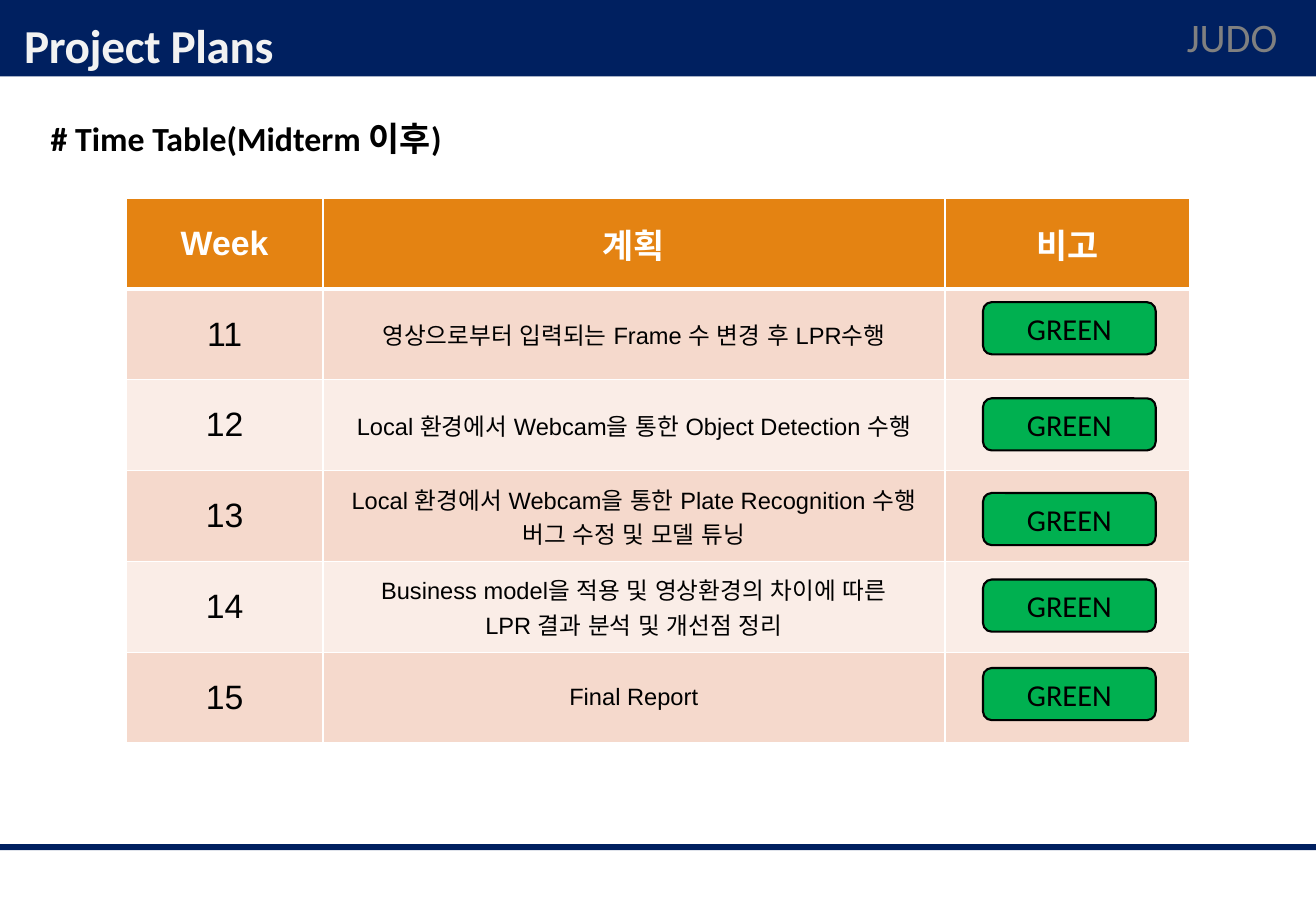
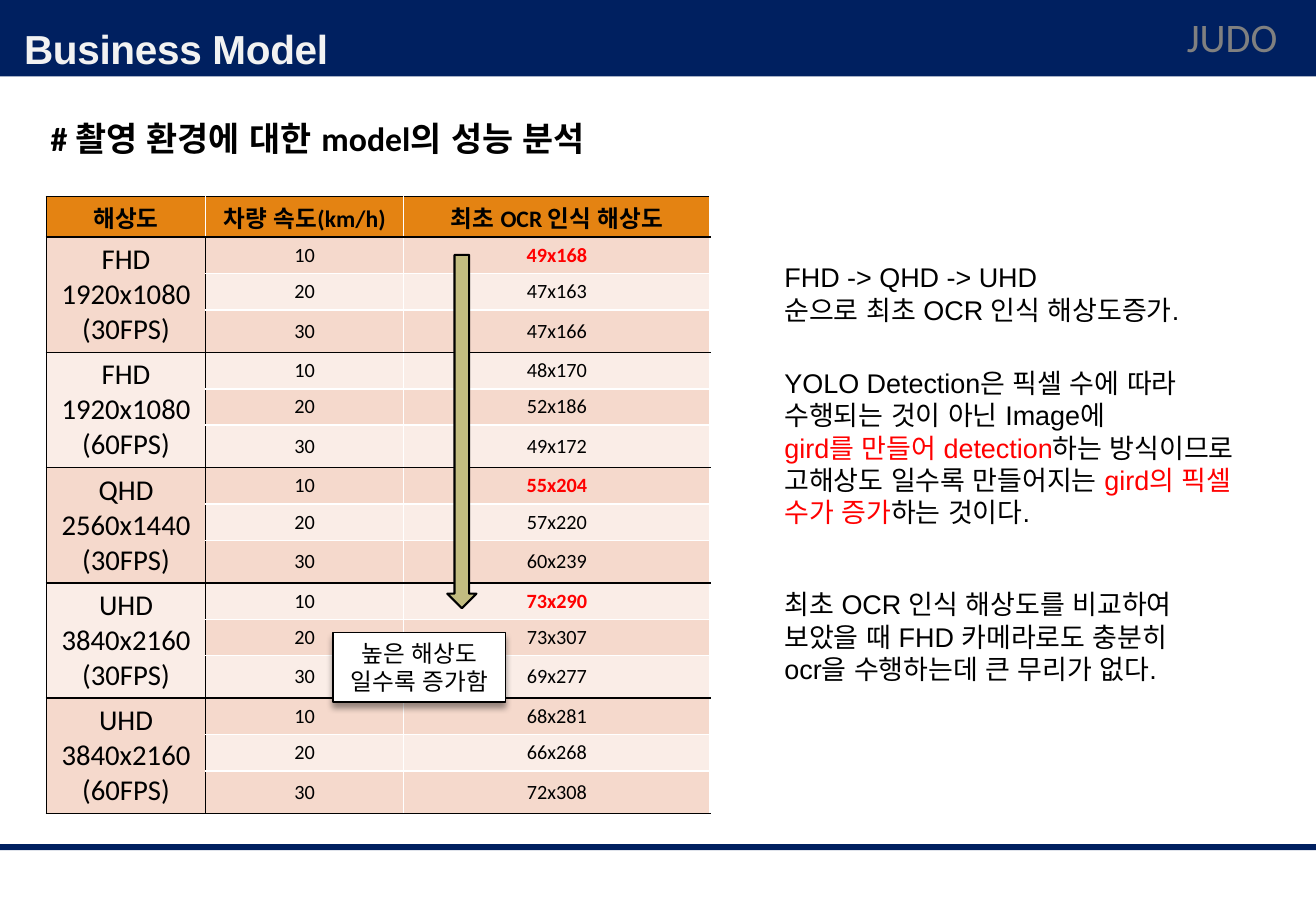
from lxml import etree
from pptx import Presentation
from pptx.dml.color import RGBColor
from pptx.enum.lang import MSO_LANGUAGE_ID as Language
from pptx.enum.shapes import MSO_SHAPE as Preset
from pptx.enum.text import MSO_ANCHOR as Anchor, PP_ALIGN as Align
from pptx.oxml.ns import qn
from pptx.util import Cm, Pt

NAVY = RGBColor(0x00, 0x20, 0x60)
ORANGE = RGBColor(0xE4, 0x83, 0x12)
PEACH = RGBColor(0xF5, 0xD9, 0xCC)
PALE = RGBColor(0xFA, 0xED, 0xE7)
GREEN = RGBColor(0x00, 0xB0, 0x50)
KHAKI = RGBColor(0xC2, 0xBC, 0x80)
RED = RGBColor(0xFF, 0x00, 0x00)
GREY = RGBColor(0x80, 0x80, 0x80)
OFF_WHITE = RGBColor(0xF2, 0xF2, 0xF2)
WHITE = RGBColor(0xFF, 0xFF, 0xFF)
BLACK = RGBColor(0x00, 0x00, 0x00)

SLIDE_WIDTH, SLIDE_HEIGHT = 27.51, 19.05
BANDS = [(0, 1.6), (17.65, 0.13)]  # top, height
TEAM = "JUDO"

# Content: time table
PLAN_HEADER = ["Week", "계획", "비고"]
PLAN = [  # week, plan, status, top of the status pill
    ("11", ["영상으로부터 입력되는 Frame 수 변경 후 LPR수행"], "GREEN", 6.32),
    ("12", ["Local 환경에서 Webcam을 통한 Object Detection 수행"], "GREEN", 8.33),
    ("13", ["Local 환경에서 Webcam을 통한 Plate Recognition 수행",
            "버그 수정 및 모델 튜닝"], "GREEN", 10.31),
    ("14", ["Business model을 적용 및 영상환경의 차이에 따른",
            "LPR 결과 분석 및 개선점 정리"], "GREEN", 12.12),
    ("15", ["Final Report"], "GREEN", 13.97),
]
PLAN_COLUMNS = [4.11, 13.0, 5.13]
PLAN_ROW = 1.9

# Content: recognition results
RESULT_HEADER = ["해상도", "차량 속도(km/h)", "최초 OCR 인식 해상도"]
SPEEDS = ["10", "20", "30"]
RESULTS = [
    (["FHD", "1920x1080", "(30FPS)"], ["49x168", "47x163", "47x166"]),
    (["FHD", "1920x1080", "(60FPS)"], ["48x170", "52x186", "49x172"]),
    (["QHD", "2560x1440", "(30FPS)"], ["55x204", "57x220", "60x239"]),
    (["UHD", "3840x2160", "(30FPS)"], ["73x290", "73x307", "69x277"]),
    (["UHD", "3840x2160", "(60FPS)"], ["68x281", "66x268", "72x308"]),
]
HIGHLIGHTS = {"49x168", "55x204", "73x290"}
RESULT_COLUMNS = [3.33, 4.14, 6.4]
RESULT_ROWS = [0.85] + [0.76, 0.76, 0.89] * len(RESULTS)
CALLOUT = ["높은 해상도", "일수록 증가함"]
NOTES = [  # top, width, height, lines
    (5.33, 10.39, 1.63, ["FHD -> QHD -> UHD", "순으로 최초 OCR 인식 해상도증가."]),
    (7.54, 10.01, 3.68, [
        "YOLO Detection은 픽셀 수에 따라",
        "수행되는 것이 아닌 Image에",
        [("gird를 만들어 detection", RED),
         ("하는 방식이므로 고해상도 일수록 만들어지는 ", BLACK),
         ("gird의 픽셀 수가 증가", RED), ("하는 것이다.", BLACK)]]),
    (12.17, 10.39, 2.31, ["최초 OCR 인식 해상도를 비교하여",
                          "보았을 때 FHD 카메라로도 충분히",
                          "ocr을 수행하는데 큰 무리가 없다."]),
]


def style(size, name="Calibri", color=BLACK, bold=False):
    return {"size": Pt(size), "name": name, "color": color, "bold": bold}


def write(frame, lines, font, align=Align.LEFT):
    """Fill a text frame; a line is a string or a list of (text, colour)."""
    for index, line in enumerate(lines):
        paragraph = frame.paragraphs[0] if index == 0 else frame.add_paragraph()
        paragraph.alignment = align
        for text, color in [(line, font["color"])] if isinstance(line, str) else line:
            run = paragraph.add_run()
            run.text = text
            values = {"size": font["size"], "name": font["name"],
                      "bold": font["bold"], "language_id": Language.KOREAN}
            for key, value in values.items():
                setattr(run.font, key, value)
            run.font.color.rgb = color


def add_text(slide, box, lines, font, wrap=True):
    frame = slide.shapes.add_textbox(*map(Cm, box)).text_frame
    frame.word_wrap = wrap
    write(frame, lines, font)


def add_shape(slide, preset, box, fill, line=None, width=1.25):
    shape = slide.shapes.add_shape(preset, *map(Cm, box))
    shape.shadow.inherit = False
    shape.fill.solid()
    shape.fill.fore_color.rgb = fill
    if line is None:
        shape.line.fill.background()
    else:
        shape.line.color.rgb = line
        shape.line.width = Pt(width)
    return shape


def add_drop_shadow(shape):
    effects = shape._element.spPr.find(qn("a:effectLst"))
    shadow = etree.SubElement(effects, qn("a:outerShdw"), blurRad=str(Pt(4)),
                              dist=str(Pt(3)), dir="5400000", rotWithShape="0")
    color = etree.SubElement(shadow, qn("a:srgbClr"), val=str(BLACK))
    etree.SubElement(color, qn("a:alpha"), val="40000")


def add_table(slide, left, top, columns, rows):
    table = slide.shapes.add_table(
        len(rows), len(columns), Cm(left), Cm(top),
        Cm(sum(columns)), Cm(sum(rows))).table
    for column, width in zip(table.columns, columns):
        column.width = Cm(width)
    for row, height in zip(table.rows, rows):
        row.height = Cm(height)
    return table


def format_cell(cell, row, borders):
    """Band the cell by its row; borders are (colour, points) for L, R, T, B."""
    cell.vertical_anchor = Anchor.MIDDLE
    properties = cell._tc.get_or_add_tcPr()
    for side, (color, points) in zip("LRTB", borders):
        line = etree.SubElement(properties, qn("a:ln" + side), w=str(Pt(points)))
        fill = etree.SubElement(line, qn("a:solidFill"))
        etree.SubElement(fill, qn("a:srgbClr"), val=str(color))
    cell.fill.solid()
    cell.fill.fore_color.rgb = ORANGE if row == 0 else PEACH if row % 2 else PALE


def add_bands(slide, layout):
    """Draw the bands once, on the layout that all slides use."""
    for top, height in BANDS:
        band = add_shape(slide, Preset.RECTANGLE, (0, top, SLIDE_WIDTH, height), NAVY)
        layout.shapes._spTree.append(band._element)


def add_slide(presentation, title, title_size, title_font, heading):
    slide = presentation.slides.add_slide(presentation.slide_layouts[5])
    placeholder = slide.shapes.title
    box = {"left": 0.25, "top": 0.03, "width": 27.03, "height": 1.63}
    for key, value in box.items():
        setattr(placeholder, key, Cm(value))
    frame = placeholder.text_frame
    frame.vertical_anchor = Anchor.BOTTOM
    write(frame, [title], style(title_size, title_font, OFF_WHITE, True))
    paragraph = frame.paragraphs[0]
    paragraph.line_spacing = 0.85
    paragraph.runs[0]._r.get_or_add_rPr().set("spc", "-20")
    add_text(slide, (0.81, 2.34, 24.77, 1.12), [heading], style(20, bold=True))
    add_text(slide, (24.56, 0.13, 2.41, 1.27), [TEAM], style(24, color=GREY), wrap=False)
    return slide


def build_plan(slide):
    table = add_table(slide, 2.64, 4.14, PLAN_COLUMNS, [PLAN_ROW] * (len(PLAN) + 1))
    for row in range(len(PLAN) + 1):
        for column in range(len(PLAN_COLUMNS)):
            edges = [(WHITE, 1)] * 3 + [(WHITE, 1 if row else 3)]
            if row == 1:
                edges[2] = (WHITE, 3)
            format_cell(table.cell(row, column), row, edges)
    for column, text in enumerate(PLAN_HEADER):
        write(table.cell(0, column).text_frame, [text],
              style(20, "Arial", WHITE, True), Align.CENTER)
    for row, (week, plan, status, top) in enumerate(PLAN, 1):
        write(table.cell(row, 0).text_frame, [week], style(20, "Arial"), Align.CENTER)
        write(table.cell(row, 1).text_frame, plan, style(14, "Arial"), Align.CENTER)
        pill = add_shape(slide, Preset.ROUNDED_RECTANGLE,
                         (20.55, top, 3.61, 1.09), GREEN, BLACK)
        pill.text_frame.vertical_anchor = Anchor.MIDDLE
        write(pill.text_frame, [status], style(18), Align.CENTER)


def result_borders(row, column):
    """Black around each resolution group, white inside it."""
    speeds = len(SPEEDS)
    black = (
        column == 0 or (column == 1 and row > 0),
        column == 0 and row > 0,
        column == 0 or row == 0 or row % speeds == 1,
        column == 0 or row % speeds == 0,
    )
    return [(BLACK if edge else WHITE, 1) for edge in black]


def build_results(slide):
    table = add_table(slide, 0.97, 4.11, RESULT_COLUMNS, RESULT_ROWS)
    for row in range(len(RESULT_ROWS)):
        for column in range(len(RESULT_COLUMNS)):
            cell = table.cell(row, column)
            cell.margin_top = cell.margin_bottom = Cm(0.05)
            format_cell(cell, row, result_borders(row, column))
    for column, text in enumerate(RESULT_HEADER):
        write(table.cell(0, column).text_frame, [text],
              style(14, bold=True), Align.CENTER)
    for group, (resolution, sizes) in enumerate(RESULTS):
        first = 1 + group * len(SPEEDS)
        table.cell(first, 0).merge(table.cell(first + len(SPEEDS) - 1, 0))
        write(table.cell(first, 0).text_frame, resolution, style(17), Align.CENTER)
        for row, (speed, size) in enumerate(zip(SPEEDS, sizes), first):
            marked = size in HIGHLIGHTS
            write(table.cell(row, 1).text_frame, [speed], style(12), Align.CENTER)
            write(table.cell(row, 2).text_frame, [size],
                  style(12, color=RED if marked else BLACK, bold=marked), Align.CENTER)

    # Trend arrow and its callout
    add_shape(slide, Preset.DOWN_ARROW, (9.35, 5.33, 0.61, 7.39), KHAKI, BLACK)
    callout = add_shape(slide, Preset.RECTANGLE, (6.96, 13.23, 3.61, 1.45),
                        WHITE, BLACK, 0.75)
    add_drop_shadow(callout)
    write(callout.text_frame, CALLOUT, style(14), Align.CENTER)

    # Remarks on the right
    for top, width, height, lines in NOTES:
        add_text(slide, (16.15, top, width, height), lines, style(16, "Arial"))


def main():
    presentation = Presentation()
    presentation.slide_width = Cm(SLIDE_WIDTH)
    presentation.slide_height = Cm(SLIDE_HEIGHT)
    plan = add_slide(presentation, "Project Plans", 28, "Calibri",
                     "# Time Table(Midterm 이후)")
    add_bands(plan, plan.slide_layout)
    build_plan(plan)
    results = add_slide(presentation, "Business Model", 24, "Arial",
                        "# 촬영 환경에 대한 model의 성능 분석")
    build_results(results)
    presentation.save("out.pptx")


if __name__ == "__main__":
    main()
